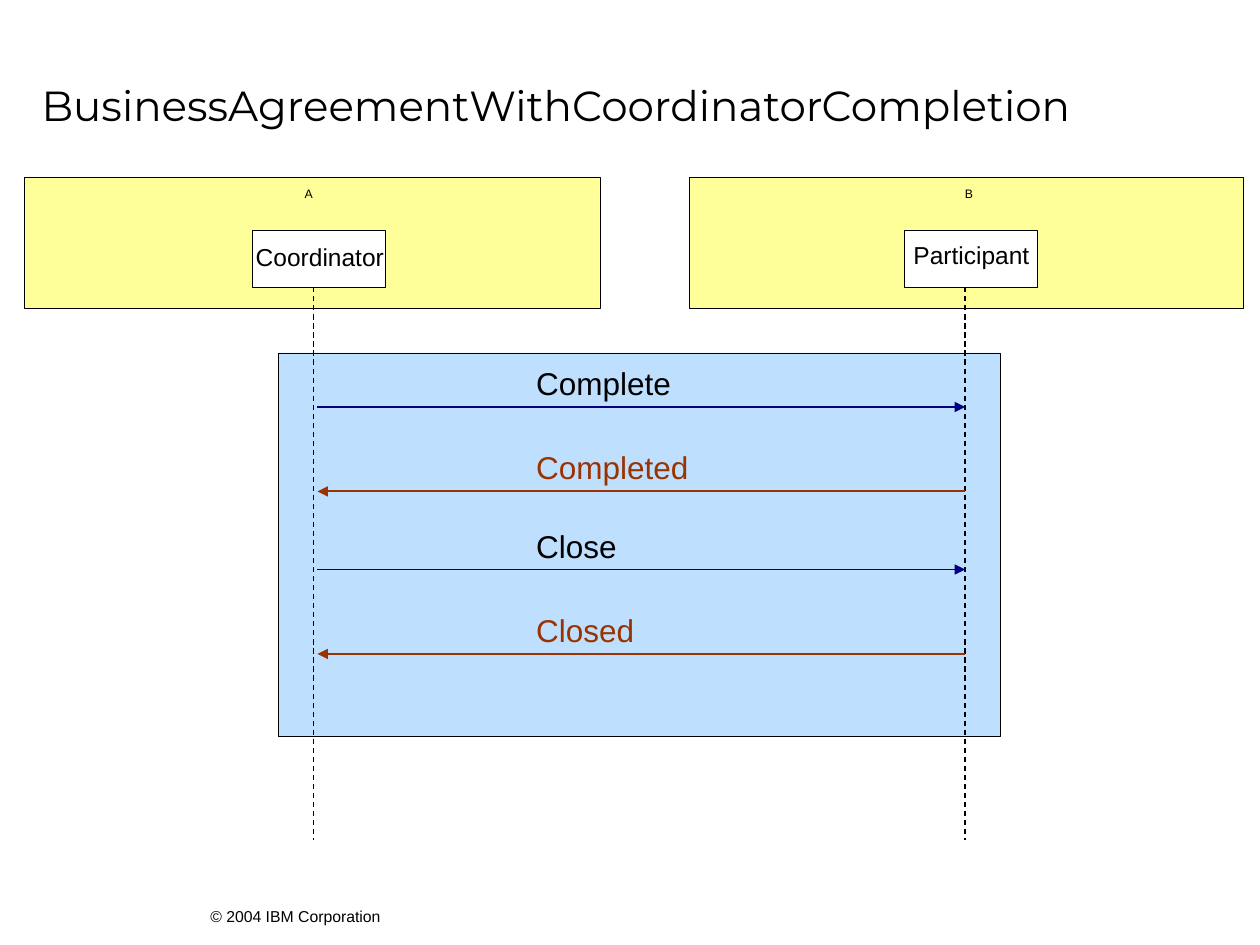
from dataclasses import dataclass

from lxml.etree import SubElement
from pptx import Presentation
from pptx.dml.color import RGBColor
from pptx.enum.dml import MSO_LINE
from pptx.enum.shapes import MSO_CONNECTOR, MSO_SHAPE
from pptx.enum.text import MSO_ANCHOR, PP_ALIGN
from pptx.oxml.ns import qn
from pptx.util import Inches, Pt


@dataclass(frozen=True)
class Theme:
    black: str = "000000"
    white: str = "FFFFFF"
    party: str = "FFFF99"
    exchange: str = "BFDFFF"
    request: str = "000080"
    reply: str = "993300"
    font: str = "Arial"
    title_font: str = "Montserrat"
    title: int = 24
    message: int = 18
    role: int = 14
    footer: int = 9
    tag: int = 7


theme = Theme()
prs = Presentation()
prs.slide_width, prs.slide_height = Inches(10), Inches(7.5)
s = prs.slides.add_slide(prs.slide_layouts[6])

# Grid of 100 columns by 75 rows
col, row = prs.slide_width / 100, prs.slide_height / 75


def add_text(text, x, y, w, h, size, color=theme.black, font=theme.font,
             align=PP_ALIGN.LEFT, anchor=MSO_ANCHOR.TOP):
    sp = s.shapes.add_textbox(*map(int, (x * col, y * row, w * col, h * row)))
    tf = sp.text_frame
    tf.word_wrap = True
    tf.vertical_anchor = anchor
    tf.margin_left = tf.margin_right = tf.margin_top = tf.margin_bottom = 0
    p = tf.paragraphs[0]
    p.text = text
    p.alignment = align
    p.font.name = font
    p.font.size = Pt(size)
    p.font.color.rgb = RGBColor.from_string(color)


def add_line(x1, y1, x2, y2, color, width):
    ln = s.shapes.add_connector(
        MSO_CONNECTOR.STRAIGHT, *map(int, (x1 * col, y1 * row, x2 * col, y2 * row)))
    ln.line.color.rgb = RGBColor.from_string(color)
    ln.line.width = Pt(width)
    line_xml = ln.line._get_or_add_ln()
    SubElement(ln._element.spPr, qn("a:effectLst"))
    return ln, line_xml


add_text("© 2004 IBM Corporation", 16.7, 71.5, 16, 2.5, theme.footer,
         anchor=MSO_ANCHOR.MIDDLE)
add_text("BusinessAgreementWithCoordinatorCompletion", 3.3, 5.4, 93.7, 5.8,
         theme.title, font=theme.title_font, anchor=MSO_ANCHOR.MIDDLE)

# Exchange area, the two parties, and the role inside each
for x, y, w, h, fill, width in (
    (22.1, 28, 57.3, 30.4, theme.exchange, 0.2),
    (54.7, 14.1, 44, 10.4, theme.party, 0.2),
    (1.9, 14.1, 45.7, 10.4, theme.party, 0.2),
    (20, 18.3, 10.6, 4.5, theme.white, 0.4),
    (71.8, 18.3, 10.5, 4.5, theme.white, 0.4),
):
    sp = s.shapes.add_shape(
        MSO_SHAPE.RECTANGLE, *map(int, (x * col, y * row, w * col, h * row)))
    sp.shadow.inherit = False
    sp.fill.solid()
    sp.fill.fore_color.rgb = RGBColor.from_string(fill)
    sp.line.color.rgb = RGBColor.from_string(theme.black)
    sp.line.width = Pt(width)

for tag, tag_x, tag_y, role, role_x, role_y in (
    ("A", 24.5, 14.8, "Coordinator", 20.3, 19.2),
    ("B", 76.9, 14.75, "Participant", 72.5, 19.05),
):
    add_text(tag, tag_x - 1, tag_y, 2, 2.3, theme.tag, align=PP_ALIGN.CENTER)
    add_text(role, role_x, role_y, 11, 2.8, theme.role)

# Lifelines
left_life, right_life = 24.9, 76.6
for x in (left_life, right_life):
    ln, _ = add_line(x, 22.8, x, 66.7, theme.black, 0.75)
    ln.line.dash_style = MSO_LINE.DASH

# Messages: requests run right, replies run left
arrow_left = left_life + 0.3
for label, y, is_request in (
    ("Complete", 32.3, True),
    ("Completed", 39, False),
    ("Close", 45.2, True),
    ("Closed", 51.9, False),
):
    start, end = (arrow_left, right_life) if is_request else (right_life, arrow_left)
    _, line_xml = add_line(start, y, end, y,
                           theme.request if is_request else theme.reply, 1.05)
    SubElement(line_xml, qn("a:tailEnd"), type="triangle")
    add_text(label, 42.55, y - 3.4, 14, 3, theme.message,
             theme.black if is_request else theme.reply)

prs.save("out.pptx")
